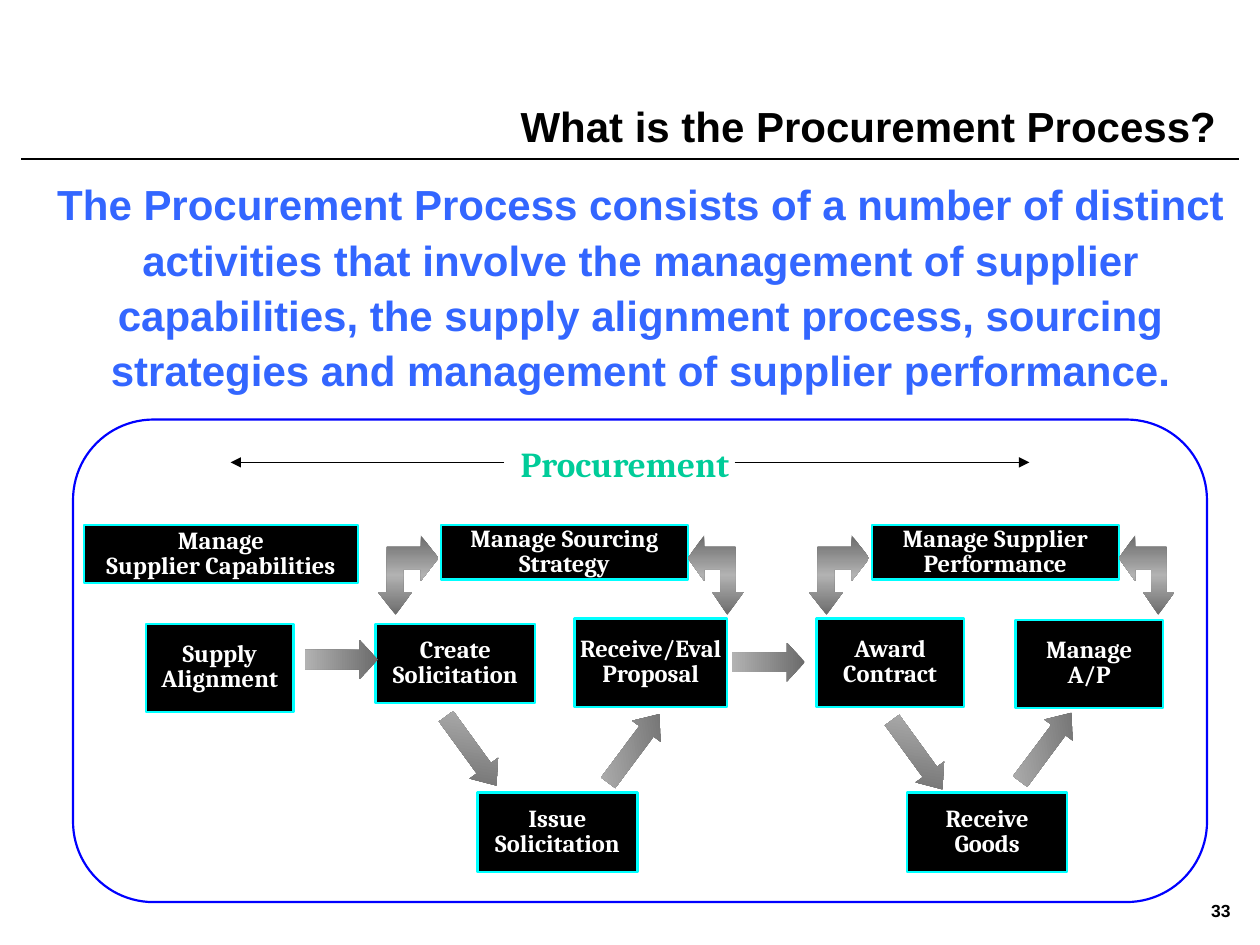
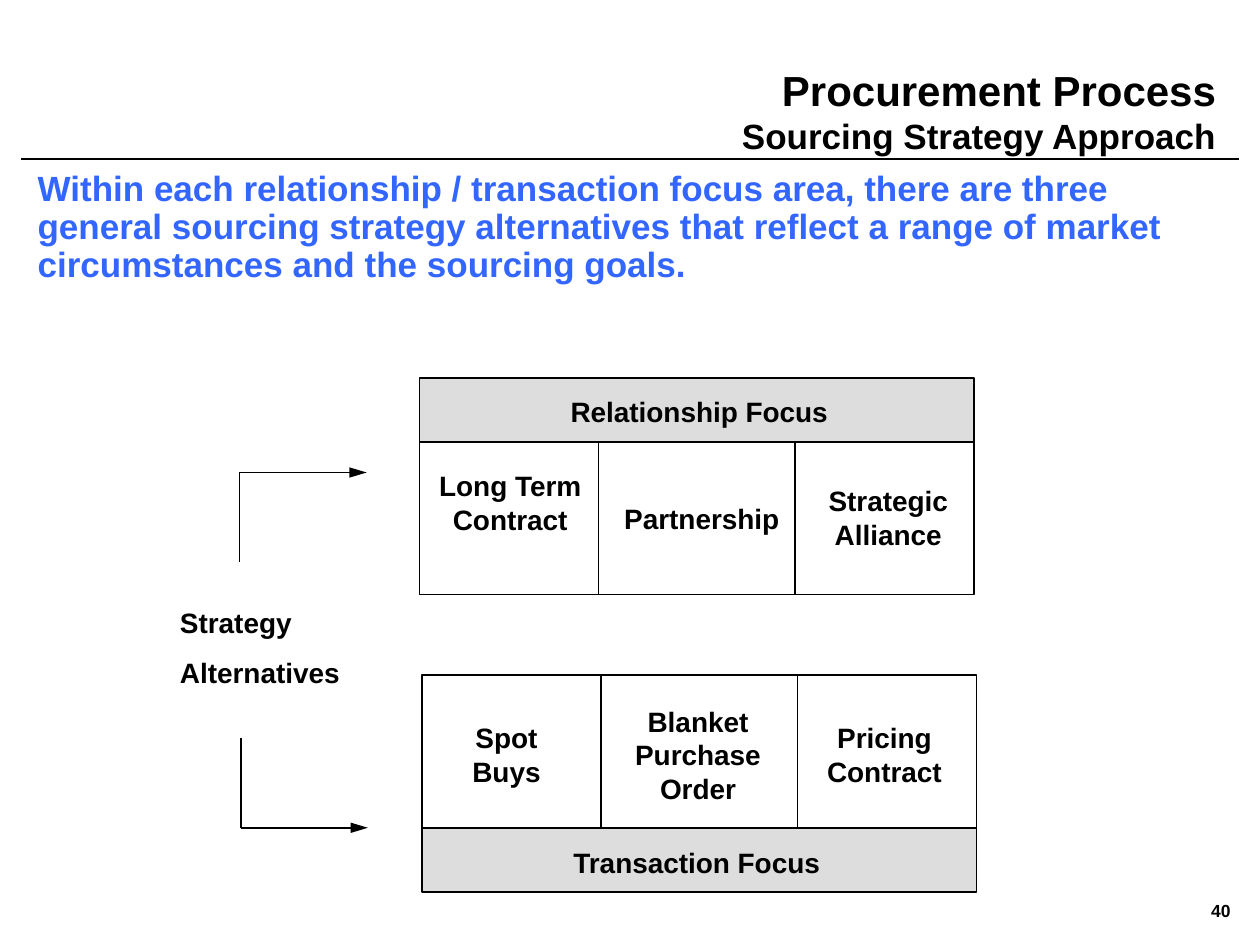
import dataclasses

import lxml.etree
import pptx
import pptx.dml.color
import pptx.enum.shapes
import pptx.enum.text
import pptx.oxml
import pptx.oxml.ns
import pptx.util


@dataclasses.dataclass(frozen=True)
class Theme:
    sans: str = "Arial"
    serif: str = "Cambria"
    black: str = "000000"
    white: str = "FFFFFF"
    lead: str = "3366FF"
    frame: str = "0000FF"
    box_edge: str = "00FFFF"
    heading: str = "00CC99"
    band: str = "DDDDDD"
    arrow_dark: str = "6B6B6B"
    arrow_light: str = "B2B2B2"
    title: int = 24
    subtitle: int = 20
    label: int = 16
    step: int = 14
    number: int = 10


THEME = Theme()
RGB = pptx.dml.color.RGBColor.from_string
Pt = pptx.util.Pt
SHAPE = pptx.enum.shapes.MSO_SHAPE
ALIGN = pptx.enum.text.PP_ALIGN
ANCHOR = pptx.enum.text.MSO_ANCHOR
qn = pptx.oxml.ns.qn

deck = pptx.Presentation()
deck.slide_width = pptx.util.Inches(10)
deck.slide_height = pptx.util.Inches(7.5)

# All positions count cells of a grid with 100 columns and 75 rows.
CELL = deck.slide_width / 100


def write(slide, text, place, size, color=THEME.black, font=THEME.sans,
          align=ALIGN.CENTER, spacing=1.0, anchor=ANCHOR.TOP, box=None):
    """Put bold text into box, or into a new text box at place."""
    inset = (0.8, 0.4) if box else (1, 0.5)
    holder = box or slide.shapes.add_textbox(*[round(n * CELL) for n in place])
    frame = holder.text_frame
    frame.word_wrap = box is None
    frame.vertical_anchor = anchor
    frame.margin_left = frame.margin_right = round(inset[0] * CELL)
    frame.margin_top = frame.margin_bottom = round(inset[1] * CELL)
    frame.text = text
    for paragraph in frame.paragraphs:
        paragraph.alignment = align
        paragraph.line_spacing = spacing
        paragraph.font.size = Pt(size)
        paragraph.font.name = font
        paragraph.font.bold = True
        paragraph.font.color.rgb = RGB(color)
    return frame


def draw_line(slide, x1, y1, x2, y2, width=1, head_length=None):
    """Draw a black line, with an arrowhead at its end if head_length is set."""
    line = slide.shapes.add_connector(
        pptx.enum.shapes.MSO_CONNECTOR.STRAIGHT,
        *[round(n * CELL) for n in (x1, y1, x2, y2)])
    line.line.color.rgb = RGB(THEME.black)
    line.line.width = Pt(width)
    if head_length:
        lxml.etree.SubElement(line.line._get_or_add_ln(), qn("a:tailEnd"),
                              type="triangle", w="med", len=head_length)
    lxml.etree.SubElement(line._element.spPr, qn("a:effectLst"))


# Shared title, rule and slide number
pages = [
    ("What is the Procurement Process?", 0, ANCHOR.BOTTOM, 1.1, "33"),
    ("Procurement Process\nSourcing Strategy Approach", 2.5, ANCHOR.MIDDLE, 1.0, "40"),
]
slides = []
for title, top, anchor, spacing, number in pages:
    slide = deck.slides.add_slide(deck.slide_layouts[6])
    draw_line(slide, 1.7, 12.6, 98.3, 12.6)
    write(slide, number, (94.2, 70.1, 5.4, 4.4), THEME.number, anchor=ANCHOR.MIDDLE)
    heading = write(slide, title, (25, top, 72.5, 12.5), THEME.title,
                    align=ALIGN.RIGHT, spacing=spacing, anchor=anchor)
    for subtitle in heading.paragraphs[1:]:
        subtitle.font.size = Pt(THEME.subtitle)
    slides.append(slide)
process, strategy = slides

# Slide 1: the procurement process
scope = process.shapes.add_shape(
    SHAPE.ROUNDED_RECTANGLE, *[round(n * CELL) for n in (5.8, 33.3, 90, 38.3)])
scope.shadow.inherit = False
scope.fill.solid()
scope.fill.fore_color.rgb = RGB(THEME.white)
scope.line.color.rgb = RGB(THEME.frame)
scope.line.width = Pt(1.25)

write(process, "The Procurement Process consists of a number of distinct activities "
      "that involve the management of supplier capabilities, the supply alignment "
      "process, sourcing strategies and management of supplier performance.",
      (2.5, 13.3, 96.7, 8.3), THEME.title, THEME.lead, spacing=1.1)

steps = [
    ("Manage\nSupplier Capabilities", 6.7, 41.7, 21.7, 4.6),
    ("Manage Sourcing\nStrategy", 35, 41.7, 19.6, 4.3),
    ("Manage Supplier\nPerformance", 69.2, 41.7, 19.6, 4.3),
    ("Supply\nAlignment", 11.6, 49.5, 11.7, 7),
    ("Create\nSolicitation", 29.8, 49.5, 12.7, 6.3),
    ("Receive/Eval\nProposal", 45.6, 49.1, 12.1, 7),
    ("Award\nContract", 64.8, 49.1, 11.7, 7),
    ("Manage\nA/P", 80.6, 49.2, 11.7, 7),
    ("Issue\nSolicitation", 37.9, 62.9, 12.7, 6.3),
    ("Receive\nGoods", 72, 62.9, 12.7, 6.3),
]
for text, *place in steps:
    step = process.shapes.add_shape(SHAPE.RECTANGLE, *[round(n * CELL) for n in place])
    step.shadow.inherit = False
    step.fill.solid()
    step.fill.fore_color.rgb = RGB(THEME.black)
    step.line.color.rgb = RGB(THEME.box_edge)
    step.line.width = Pt(1.25)
    write(process, text, place, THEME.step, THEME.white, THEME.serif,
          spacing=0.85, anchor=ANCHOR.MIDDLE, box=step)

FLAT, DOWN, UP = 0, 54, 306.7
shaded = []
for left, top, turn in [(24.2, 50.8, FLAT), (58.1, 51, FLAT),
                        (34, 58.2, DOWN), (46.9, 58, UP),
                        (69.4, 58.5, DOWN), (79.6, 57.9, UP)]:
    width, height, point = (5.8, 3.1, 0.47) if turn == FLAT else (6.8, 2.8, 0.61)
    arrow = process.shapes.add_shape(
        SHAPE.RIGHT_ARROW, *[round(n * CELL) for n in (left, top, width, height)])
    arrow.adjustments[0] = 0.5
    arrow.adjustments[1] = point
    arrow.rotation = turn
    stops = [(0, THEME.arrow_dark), (100, THEME.arrow_light)]
    shaded.append((arrow, stops, 180 if turn == FLAT else 225))

# Two-headed elbows, as distances from the tip that touches a management box
elbow_outline = [(0, 1.8), (1.4, 3.6), (1.4, 2.7), (2.8, 2.7), (2.8, 4.5), (2.1, 4.5),
                 (3.4, 6.3), (4.8, 4.5), (4.1, 4.5), (4.1, 0.9), (1.4, 0.9), (1.4, 0)]
for _, left, top, width, _ in steps[1:3]:
    for tip, reach in [(left - 0.2, -1), (left + width, 0.92)]:
        corners = [(round((tip + reach * away) * CELL), round((top + 0.8 + down) * CELL))
                   for away, down in elbow_outline]
        outline = process.shapes.build_freeform(*corners[0])
        outline.add_line_segments(corners[1:], close=True)
        stops = [(0, THEME.arrow_dark), (50, THEME.arrow_light), (100, THEME.arrow_dark)]
        shaded.append((outline.convert_to_shape(), stops, 90))

for arrow, stops, angle in shaded:
    arrow.shadow.inherit = False
    arrow.line.fill.background()
    arrow.fill.gradient()
    gradient = arrow._element.spPr.find(qn("a:gradFill"))
    gradient.set("rotWithShape", "1")
    stop_list = gradient.find(qn("a:gsLst"))
    for old_stop in list(stop_list):
        stop_list.remove(old_stop)
    for share, color in stops:
        stop = lxml.etree.SubElement(stop_list, qn("a:gs"), pos=str(share * 1000))
        lxml.etree.SubElement(stop, qn("a:srgbClr"), val=color)
    direction = gradient.find(qn("a:lin"))
    direction.set("ang", str(angle * 60000))
    direction.set("scaled", "0")

write(process, "Procurement", (19.2, 35, 60.8, 4), THEME.subtitle,
      THEME.heading, THEME.serif, spacing=0.9)
for start, end in [(40, 18.3), (58.3, 81.7)]:
    draw_line(process, start, 36.7, end, 36.7, width=0.75, head_length="med")

# Slide 2: sourcing strategy alternatives
focus_areas = [
    (33.3, 30, 35.1, 5.1),
    (33.5, 65.7, 53.6, 5.1),
]
for left, band_top, cells_top, band_height in focus_areas:
    for top, height, color in [(band_top, band_height, THEME.band),
                               (cells_top, 12.1, None)]:
        area = strategy.shapes.add_shape(
            SHAPE.RECTANGLE, *[round(n * CELL) for n in (left, top, 44, height)])
        area.shadow.inherit = False
        area.line.color.rgb = RGB(THEME.black)
        area.line.width = Pt(1)
        if color:
            area.fill.solid()
            area.fill.fore_color.rgb = RGB(color)
        else:
            area.fill.background()
    for offset in (14.2, 29.8):
        draw_line(strategy, left + offset, cells_top, left + offset, cells_top + 12.1)

for text, *place in [
    ("Relationship Focus", 37.4, 30.8, 36.2, 3.7),
    ("Long Term Contract", 33.6, 36.7, 13.8, 6.4),
    ("Partnership", 47.7, 39.3, 16, 3.7),
    ("Strategic Alliance", 63.6, 37.9, 13.8, 6.4),
    ("Spot\nBuys", 33.3, 56.7, 13.8, 6.4),
    ("Blanket Purchase Order", 47.4, 55.4, 16, 9),
    ("Pricing Contract", 63.3, 56.7, 13.8, 6.4),
    ("Transaction Focus", 37.2, 66.6, 36.2, 3.7),
]:
    write(strategy, text, place, THEME.label)

write(strategy, "Strategy Alternatives", (13.3, 46.2, 19.8, 9), THEME.label,
      align=ALIGN.LEFT, spacing=1.5)
for left, start, turn in [(19, 44.6, 37.5), (19.1, 58.6, 65.7)]:
    draw_line(strategy, left, start, left, turn)
    draw_line(strategy, left, turn, left + 10.1, turn, head_length="lg")

write(strategy, "Within each relationship / transaction focus area, there are three "
      "general sourcing strategy alternatives that reflect a range of market "
      "circumstances and the sourcing goals.",
      (2, 13.1, 92.5, 10), THEME.subtitle, THEME.lead, align=ALIGN.LEFT, spacing=0.9)

deck.save("out.pptx")
